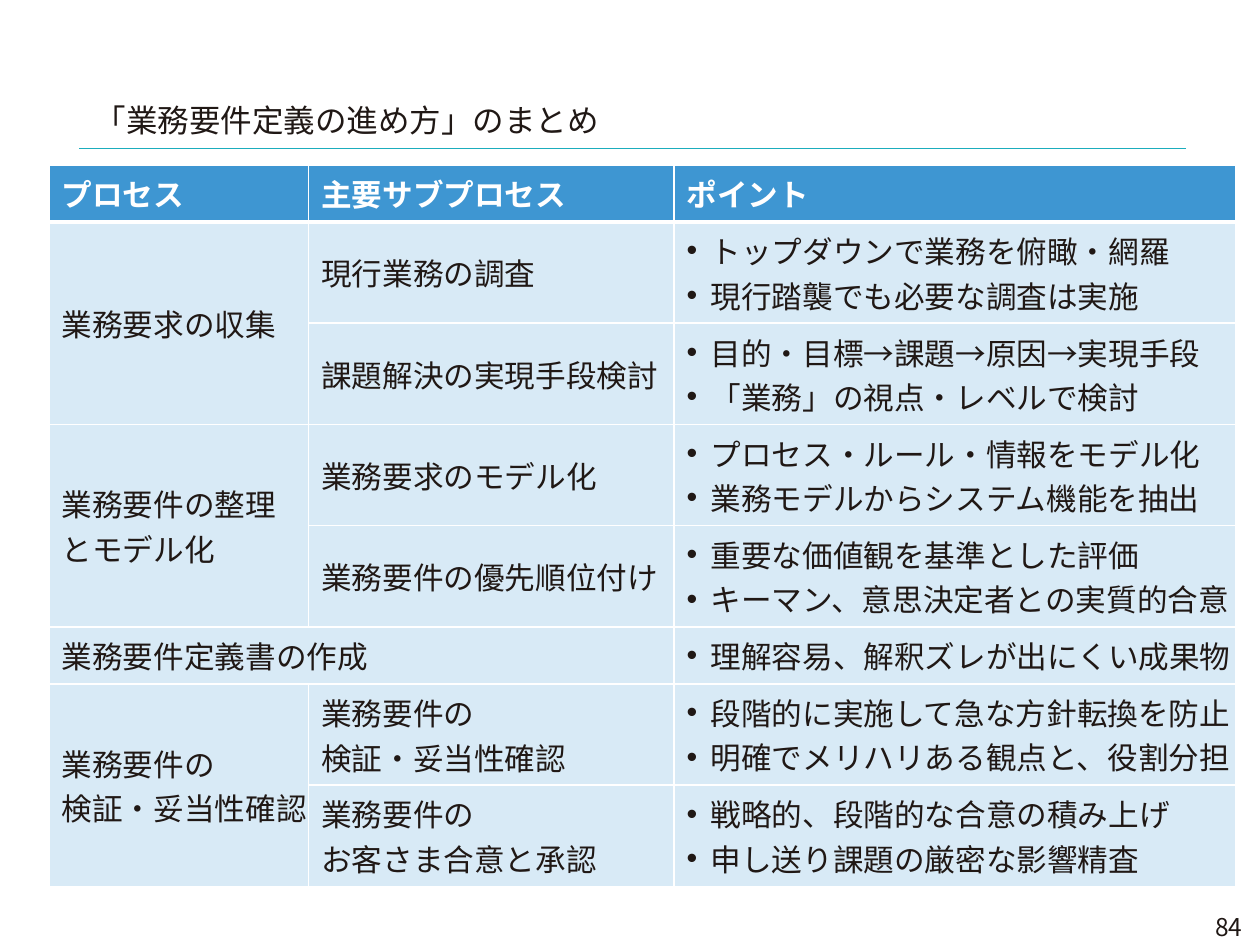
from dataclasses import dataclass

from lxml.etree import SubElement
from pptx import Presentation
from pptx.dml.color import RGBColor
from pptx.enum.shapes import MSO_CONNECTOR
from pptx.enum.text import MSO_ANCHOR, PP_ALIGN
from pptx.oxml import parse_xml
from pptx.oxml.ns import nsdecls, qn
from pptx.util import Inches, Pt


@dataclass(frozen=True)
class Theme:
    font: str = "Noto Sans CJK JP"
    ink: str = "201815"
    white: str = "FFFFFF"
    header: str = "3E96D2"
    body: str = "D8EAF6"
    rule: str = "1BADBD"
    title_size: float = 18
    table_size: float = 17.5
    page_size: float = 14


THEME = Theme()
COLS = [2.06, 2.9, 4.46]
HEADER = ["プロセス", "主要サブプロセス", "ポイント"]
ROWS = [
    ("業務要求の収集", "現行業務の調査",
     ["トップダウンで業務を俯瞰・網羅", "現行踏襲でも必要な調査は実施"]),
    ("", "課題解決の実現手段検討",
     ["目的・目標→課題→原因→実現手段", "「業務」の視点・レベルで検討"]),
    ("業務要件の整理\vとモデル化", "業務要求のモデル化",
     ["プロセス・ルール・情報をモデル化", "業務モデルからシステム機能を抽出"]),
    ("", "業務要件の優先順位付け",
     ["重要な価値観を基準とした評価", "キーマン、意思決定者との実質的合意"]),
    ("業務要件定義書の作成", "", ["理解容易、解釈ズレが出にくい成果物"]),
    ("業務要件の\v検証・妥当性確認", "業務要件の\v検証・妥当性確認",
     ["段階的に実施して急な方針転換を防止", "明確でメリハリある観点と、役割分担"]),
    ("", "業務要件の\vお客さま合意と承認",
     ["戦略的、段階的な合意の積み上げ", "申し送り課題の厳密な影響精査"]),
]
MERGES = [((1, 0), (2, 0)), ((3, 0), (4, 0)), ((5, 0), (5, 1)), ((6, 0), (7, 0))]


def write(p, text, size=THEME.table_size, color=THEME.ink, bold=False,
          align=PP_ALIGN.LEFT, indent=0, bullet=False):
    p.text = text
    p.alignment = align
    for r in p.runs:
        r.font.size = Pt(size)
        r.font.bold = bold
        r.font.color.rgb = RGBColor.from_string(color)
        r.font.name = THEME.font
        ea = SubElement(r.font._element, qn("a:ea"))
        ea.set("typeface", THEME.font)
    pPr = p._p.get_or_add_pPr()
    pPr.set("marL", str(Inches(indent)))
    if bullet:
        pPr.set("indent", str(-Inches(indent)))
        SubElement(pPr, qn("a:buFont")).set("typeface", "Arial")
        SubElement(pPr, qn("a:buChar")).set("char", "•")


def add_title(s, text, x, y, w, h):
    sp = s.shapes.title
    sp.left, sp.top, sp.width, sp.height = map(Inches, (x, y, w, h))
    tf = sp.text_frame
    tf.word_wrap = True
    tf.vertical_anchor = MSO_ANCHOR.MIDDLE
    write(tf.paragraphs[0], text, size=THEME.title_size)


def add_text(s, text, x, y, w, h, **fmt):
    sp = s.shapes.add_textbox(*map(Inches, (x, y, w, h)))
    tf = sp.text_frame
    tf.word_wrap = True
    tf.vertical_anchor = MSO_ANCHOR.MIDDLE
    write(tf.paragraphs[0], text, **fmt)


def add_rule(s, x1, x2, y):
    sp = s.shapes.add_connector(MSO_CONNECTOR.STRAIGHT, *map(Inches, (x1, y, x2, y)))
    sp.line.color.rgb = RGBColor.from_string(THEME.rule)
    sp.line.width = Pt(0.25)
    SubElement(sp._element.spPr, qn("a:effectLst"))


def style_cell(cell, fill, bottom=1):
    cell.fill.solid()
    cell.fill.fore_color.rgb = RGBColor.from_string(fill)
    tcPr = cell._tc.get_or_add_tcPr()
    for i, (side, width) in enumerate([("L", 1), ("R", 1), ("B", bottom)]):
        tcPr.insert(i, parse_xml(
            f'<a:ln{side} {nsdecls("a")} w="{Pt(width)}"><a:solidFill>'
            f'<a:srgbClr val="{THEME.white}"/></a:solidFill></a:ln{side}>'))


def fill_label(cell, text):
    style_cell(cell, THEME.body)
    cell.vertical_anchor = MSO_ANCHOR.MIDDLE
    cell.margin_left = cell.margin_right = cell.margin_top = cell.margin_bottom = 0
    if text:
        write(cell.text_frame.paragraphs[0], text, indent=0.1)


def fill_points(cell, points):
    style_cell(cell, THEME.body)
    cell.margin_right = 0
    tf = cell.text_frame
    for i, text in enumerate(points):
        p = tf.add_paragraph() if i else tf.paragraphs[0]
        write(p, text, indent=0.19, bullet=True)


def add_summary(s, x, y):
    heights = [0.44] + [0.8 if len(points) > 1 else 0.45 for _, _, points in ROWS]
    frame = s.shapes.add_table(len(heights), len(COLS), Inches(x), Inches(y),
                               Inches(sum(COLS)), Inches(sum(heights)))
    table = frame.table
    for col, w in zip(table.columns, COLS):
        col.width = Inches(w)
    for row, h in zip(table.rows, heights):
        row.height = Inches(h)
    for c, text in enumerate(HEADER):
        cell = table.cell(0, c)
        style_cell(cell, THEME.header, bottom=3)
        write(cell.text_frame.paragraphs[0], text, color=THEME.white, bold=True)
    for r, (process, sub, points) in enumerate(ROWS, start=1):
        fill_label(table.cell(r, 0), process)
        fill_label(table.cell(r, 1), sub)
        fill_points(table.cell(r, 2), points)
    for first, last in MERGES:
        table.cell(*first).merge(table.cell(*last))


def main():
    prs = Presentation()
    prs.slide_width, prs.slide_height = Inches(10), Inches(7.5)
    s = prs.slides.add_slide(prs.slide_layouts[5])
    add_rule(s, 0.63, 9.41, 1.18)
    add_title(s, "「業務要件定義の進め方」のまとめ", 0.65, 0.76, 6.38, 0.39)
    add_summary(s, 0.39, 1.31)
    add_text(s, "84", 8.57, 7.2, 1.39, 0.31,
             size=THEME.page_size, align=PP_ALIGN.RIGHT)
    prs.save("out.pptx")


if __name__ == "__main__":
    main()
